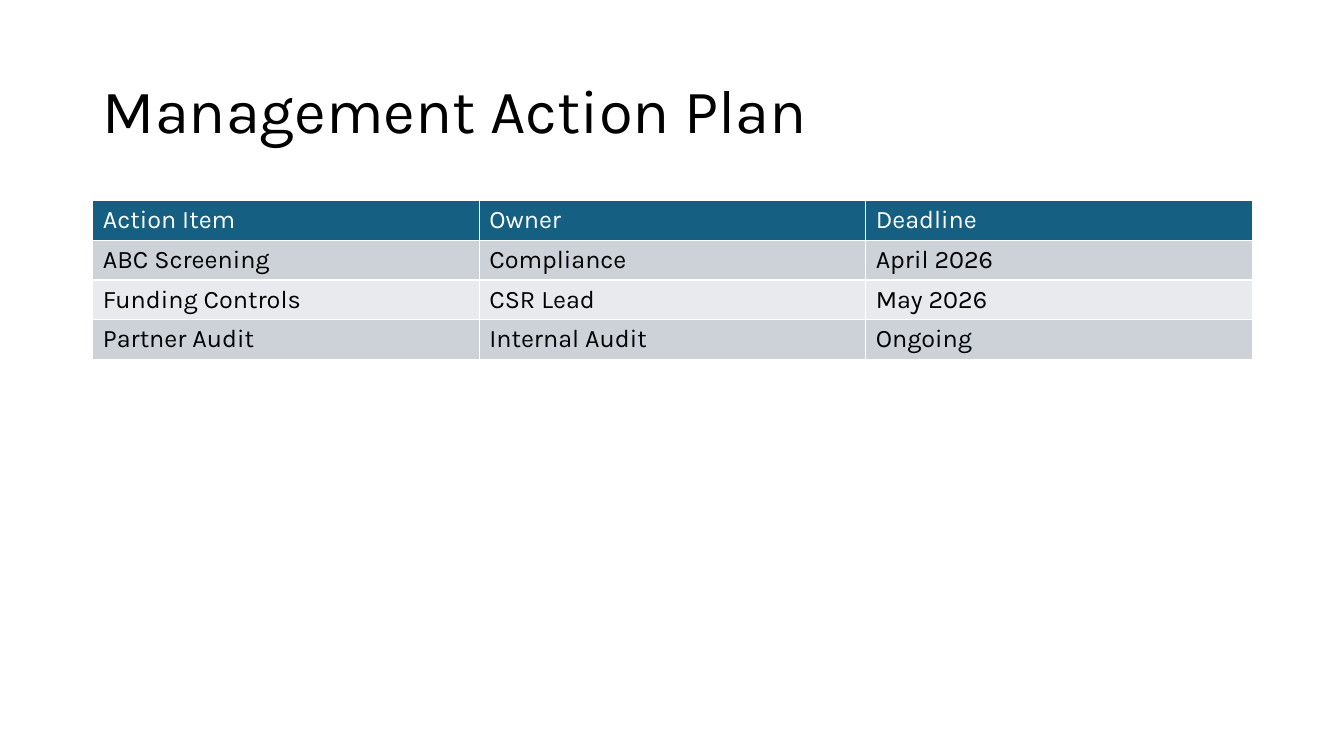
from typing import NamedTuple

from pptx import Presentation
from pptx.dml.color import RGBColor
from pptx.enum.text import MSO_ANCHOR, PP_ALIGN
from pptx.util import Inches, Pt

FONT = "Karla"
LEFT, WIDTH = 0.92, 11.5
ROW_HEIGHT = 0.39
HEADER_FILL = "156082"
BAND_FILLS = ("CCD2D8", "E8EAED")


class Action(NamedTuple):
    item: str
    owner: str
    deadline: str


HEADER = Action("Action Item", "Owner", "Deadline")
ACTIONS = [
    Action("ABC Screening", "Compliance", "April 2026"),
    Action("Funding Controls", "CSR Lead", "May 2026"),
    Action("Partner Audit", "Internal Audit", "Ongoing"),
]


def color(hex_code: str) -> RGBColor:
    return RGBColor.from_string(hex_code)


def write(text_frame, text: str, size: float, text_color: str) -> None:
    text_frame.text = text
    para = text_frame.paragraphs[0]
    para.alignment = PP_ALIGN.LEFT
    for span in para.runs:
        span.font.name = FONT
        span.font.size = Pt(size)
        span.font.bold = False
        span.font.color.rgb = color(text_color)


def add_title(page, text: str) -> None:
    title = page.shapes.title
    title.left, title.top = Inches(LEFT), Inches(0.4)
    title.width, title.height = Inches(WIDTH), Inches(1.45)
    write(title.text_frame, text, 44, "000000")
    title.text_frame.vertical_anchor = MSO_ANCHOR.MIDDLE
    title.text_frame.paragraphs[0].line_spacing = 0.9


def fill_row(table, row: int, action: Action, fill: str, text_color: str) -> None:
    for column, text in enumerate(action):
        cell = table.cell(row, column)
        cell.fill.solid()
        cell.fill.fore_color.rgb = color(fill)
        write(cell.text_frame, text, 18, text_color)


def add_action_table(page) -> None:
    row_count = len(ACTIONS) + 1
    frame = page.shapes.add_table(
        row_count, len(HEADER), Inches(LEFT), Inches(1.99),
        Inches(WIDTH), Inches(ROW_HEIGHT * row_count))
    table = frame.table
    fill_row(table, 0, HEADER, HEADER_FILL, "FFFFFF")
    for index, action in enumerate(ACTIONS):
        fill = BAND_FILLS[index % len(BAND_FILLS)]
        fill_row(table, index + 1, action, fill, "000000")


def main() -> None:
    deck = Presentation()
    deck.slide_width, deck.slide_height = Inches(13.33), Inches(7.5)
    page = deck.slides.add_slide(deck.slide_layouts[5])
    add_title(page, "Management Action Plan")
    add_action_table(page)
    deck.save("out.pptx")


if __name__ == "__main__":
    main()
